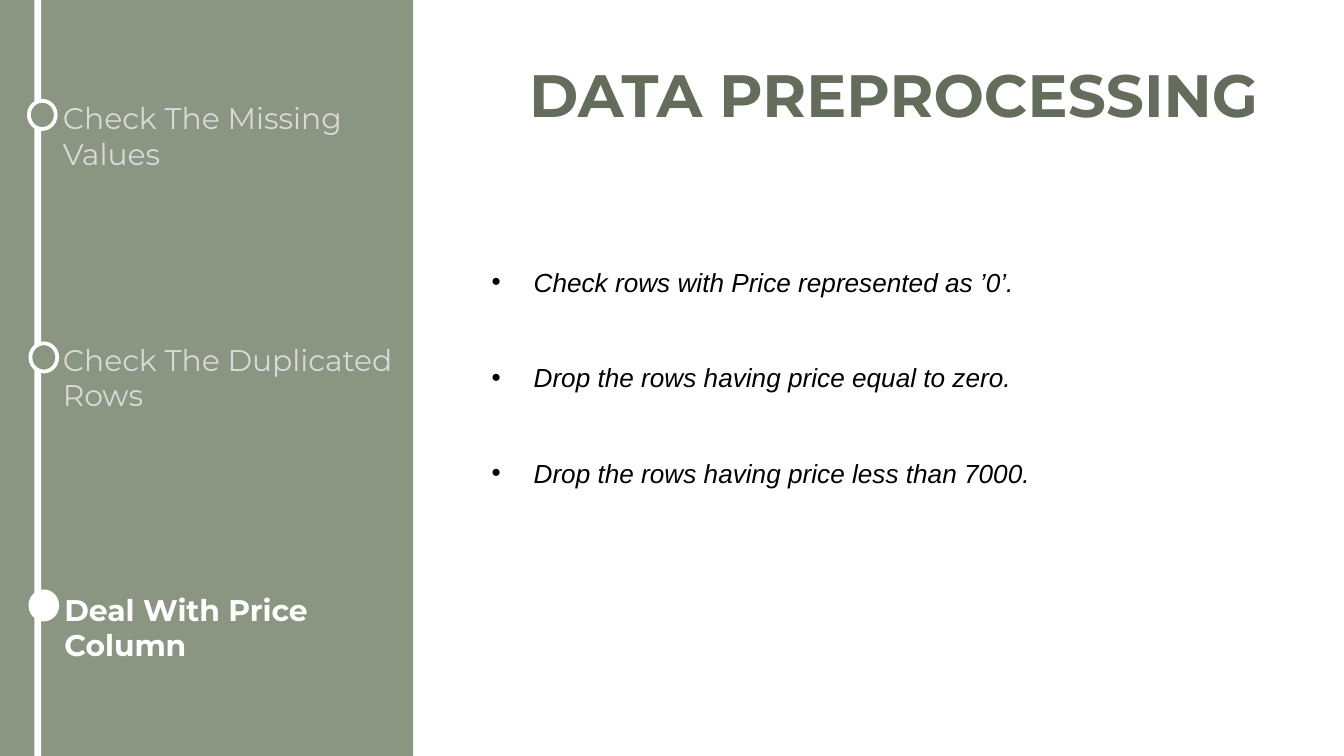
import pptx
import pptx.util
import pptx.dml.color
import pptx.enum.shapes
import pptx.enum.text
from dataclasses import dataclass
from lxml import etree
from pptx.util import Pt


@dataclass(frozen=True)
class Theme:
    sage: str = "8A9681"
    olive: str = "646C5C"
    muted: str = "D9D9D9"
    white: str = "FFFFFF"
    black: str = "000000"
    heading_font: str = "Montserrat"
    body_font: str = "Arial"
    title_size: float = 32
    step_size: float = 16
    body_size: float = 14


THEME = Theme()
SHAPES = pptx.enum.shapes.MSO_SHAPE
STEPS = [
    ("Check The Missing Values", (15.5, 54), (26.6, 49.7, 178), False),
    ("Check The Duplicated Rows", (16.3, 183.9), (26.6, 179.3, 206.6), False),
    ("Deal With Price Column", (16.3, 316.8), (27.4, 313.2, 193), True),
]
ACTIONS = [
    "Check rows with Price represented as ’0’.",
    "Drop the rows having price equal to zero.",
    "Drop the rows having price less than 7000.",
]


def color(value):
    return pptx.dml.color.RGBColor.from_string(value)


def add_block(slide, kind, left, top, width, height, fill, outline=None):
    block = slide.shapes.add_shape(kind, Pt(left), Pt(top), Pt(width), Pt(height))
    block.shadow.inherit = False
    block.fill.solid()
    block.fill.fore_color.rgb = color(fill)
    if outline:
        block.line.color.rgb = color(outline)
        block.line.width = Pt(2)
    else:
        block.line.fill.background()


def add_box(slide, left, top, width, height):
    box = slide.shapes.add_textbox(Pt(left), Pt(top), Pt(width), Pt(height))
    box.text_frame.word_wrap = True
    return box.text_frame


def write(para, text, *, size, font, ink, bold=False, italic=False):
    span = para.add_run()
    span.text = text
    span.font.size = Pt(size)
    span.font.name = font
    span.font.color.rgb = color(ink)
    span.font.bold = bold
    span.font.italic = italic


def add_bullet(para, ink, indent):
    properties = para._p.get_or_add_pPr()
    properties.set("marL", str(Pt(indent)))
    properties.set("indent", str(-Pt(indent)))
    tag = pptx.oxml.ns.qn
    bullet_color = etree.SubElement(properties, tag("a:buClr"))
    etree.SubElement(bullet_color, tag("a:srgbClr"), val=ink)
    etree.SubElement(properties, tag("a:buFont"), typeface=THEME.body_font)
    etree.SubElement(properties, tag("a:buChar"), char="•")


def add_step(slide, text, marker, label, active):
    add_block(slide, SHAPES.OVAL, *marker, 14.4, 15.1,
              THEME.white if active else THEME.sage, THEME.white)
    left, top, width = label
    frame = add_box(slide, left, top, width, 46)
    write(frame.paragraphs[0], text, size=THEME.step_size, font=THEME.heading_font,
          ink=THEME.white if active else THEME.muted, bold=active)


def add_title(slide, text):
    frame = add_box(slide, 263.5, 5.8, 430.6, 88.6)
    frame.vertical_anchor = pptx.enum.text.MSO_ANCHOR.MIDDLE
    para = frame.paragraphs[0]
    para.alignment = pptx.enum.text.PP_ALIGN.CENTER
    write(para, text, size=THEME.title_size, font=THEME.heading_font,
          ink=THEME.olive, bold=True)


def add_actions(slide, actions):
    frame = add_box(slide, 256.3, 139, 331.2, 143.3)
    for index, text in enumerate(actions):
        para = frame.paragraphs[0] if index == 0 else frame.add_paragraph()
        if index:
            para.space_before = Pt(34.3)
        add_bullet(para, THEME.black, 22.5)
        write(para, text, size=THEME.body_size, font=THEME.body_font,
              ink=THEME.black, italic=True)


def main():
    deck = pptx.Presentation()
    deck.slide_width, deck.slide_height = Pt(720), Pt(405)
    slide = deck.slides.add_slide(deck.slide_layouts[6])
    add_block(slide, SHAPES.RECTANGLE, 0, 0, 221.3, 405, THEME.sage)
    add_block(slide, SHAPES.RECTANGLE, 18.4, 0, 3.6, 405, THEME.white)
    for step in STEPS:
        add_step(slide, *step)
    add_title(slide, "DATA PREPROCESSING")
    add_actions(slide, ACTIONS)
    deck.save("out.pptx")


if __name__ == "__main__":
    main()
